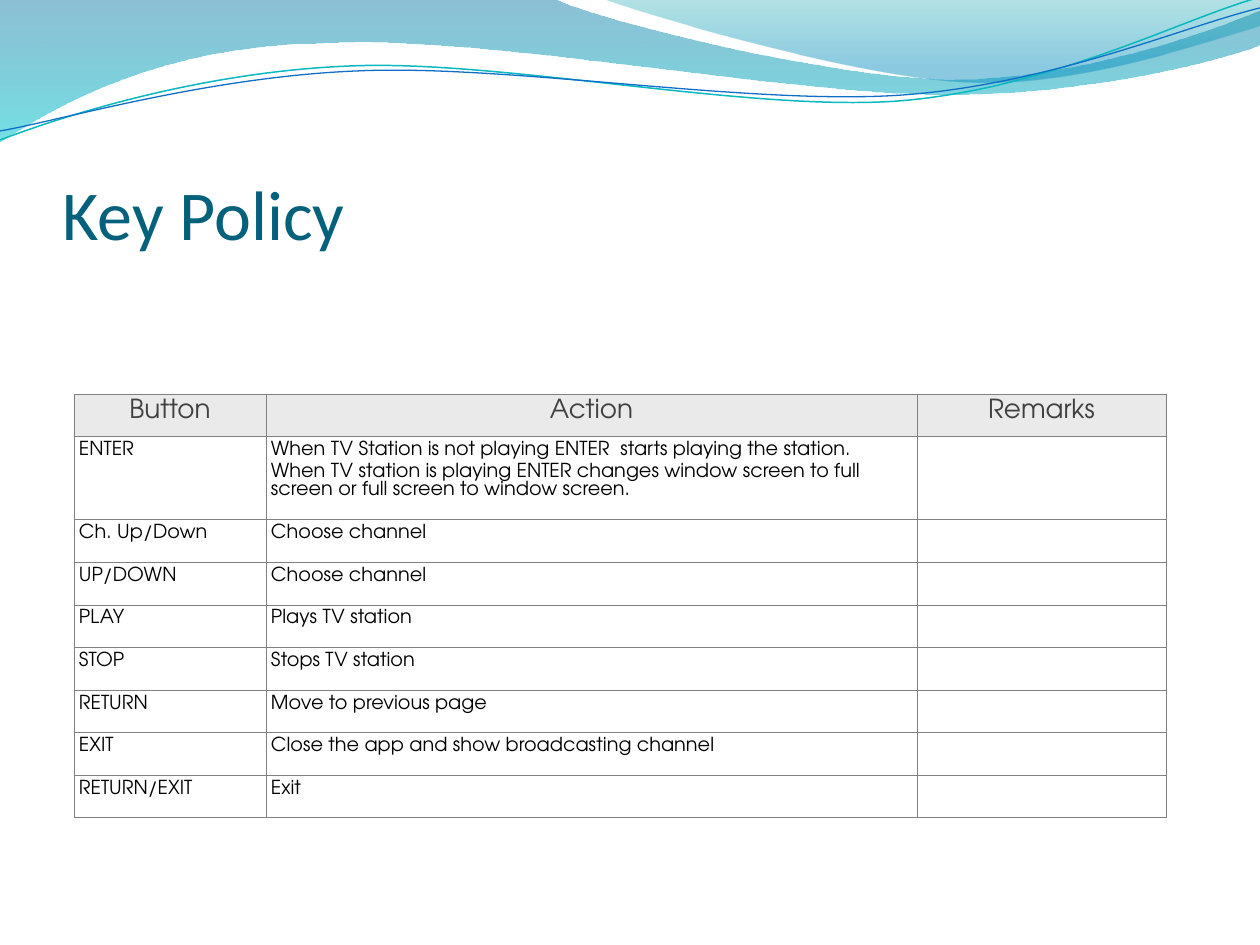
import pptx
import pptx.util
import pptx.dml.color
import pptx.enum.text
import pptx.oxml
import pptx.oxml.ns

# Content
TITLE = "Key Policy"
HEADS = ["Button", "Action", "Remarks"]
KEYS = [
    ("ENTER", "When TV Station is not playing ENTER  starts playing the station.\n"
              "When TV station is playing ENTER changes window screen to full "
              "screen or full screen to window screen."),
    ("Ch. Up/Down", "Choose channel"),
    ("UP/DOWN", "Choose channel"),
    ("PLAY", "Plays TV station"),
    ("STOP", "Stops TV station"),
    ("RETURN", "Move to previous page"),
    ("EXIT", "Close the app and show broadcasting channel"),
    ("RETURN/EXIT", "Exit"),
]

THEME = {
    "title": ("Calibri", 40, "04617B"),
    "head": ("TeX Gyre Adventor", 15, "404040"),
    "body": ("TeX Gyre Adventor", 11, "000000"),
    "headfill": "EAEAEA",
    "bodyfill": "FFFFFF",
    "grid": ("808080", 0.25),
}

# Waves: a path is a list of points (2 numbers) and curves (6 numbers), in px;
# a gradient stop is position, colour, opacity in percent
BANDS = [
    ([(0, 0), (554, -1), (600, 21, 837, 79, 955, 79), (1075, 79, 1207, 33, 1260, 11),
      (1261, 45), (1237, 55, 1096, 96, 940, 94), (784, 94, 481, 35, 324, 43),
      (161, 45, 58, 105, -1, 142)],
     [(0, "0074A1", 45), (100, "00C6CF", 55)]),
    ([(603, -1), (641, 14, 859, 78, 969, 82), (1079, 87, 1211, 40, 1260, 26), (1260, 0)],
     [(0, "00A1A9", 30), (80, "008BBF", 45)]),
]
LINES = [
    ([(0, 140), (60, 117, 199, 72, 349, 66), (498, 59, 747, 112, 898, 101),
      (1050, 89, 1182, 19, 1257, -2)], "0AB8BF", 0.85),
    ([(0, 131), (59, 121, 207, 77, 357, 71), (508, 64, 752, 106, 903, 95),
      (1053, 84, 1185, 26, 1260, 8)], "0F6FC6", 0.75),
]

# Layout in px
SCALE = 914400 / 126
SIZE = (1260, 945)
TITLE_BOX = (63, 97, 1134, 158)
TABLE_BOX = (74, 344, 1092, 490)
COLS = [192, 651, 249]
REST = 298  # shared by all rows after the first key, which grows with its text
STEP = REST / (len(KEYS) - 1)
ROWS = [50, 42] + [STEP] * len(KEYS)
PAD = 5


def emu(px):
    return pptx.util.Emu(round(px * SCALE))


def rgb(code):
    return pptx.dml.color.RGBColor.from_string(code)


def xml(text):
    return pptx.oxml.parse_xml(text.replace(">", " " + pptx.oxml.ns.nsdecls("a") + ">", 1))


def style(par, look):
    face, size, code = THEME[look]
    for run in par.runs:
        run.font.name = face
        run.font.size = pptx.util.Pt(size)
        run.font.color.rgb = rgb(code)


def draw(slide, path, close):
    """Build the outline from end points, then bend the curved parts."""
    ends = [part[-2:] for part in path]
    pen = slide.shapes.build_freeform(*ends[0], scale=SCALE)
    pen.add_line_segments(ends[1:], close=close)
    shape = pen.convert_to_shape()
    left, top = (min(axis) for axis in zip(*ends))
    legs = list(shape._element.iter(pptx.oxml.ns.qn("a:lnTo")))
    for leg, part in zip(legs, path[1:]):
        if len(part) == 6:
            dots = "".join(f'<a:pt x="{x - left}" y="{y - top}"/>'
                           for x, y in zip(part[::2], part[1::2]))
            leg.getparent().replace(leg, xml(f"<a:cubicBezTo>{dots}</a:cubicBezTo>"))
    shape.shadow.inherit = False
    shape.fill.background()
    return shape


def add_waves(slide):
    for path, stops in BANDS:
        shape = draw(slide, path, True)
        shape.line.fill.background()
        marks = "".join(
            f'<a:gs pos="{pos * 1000}"><a:srgbClr val="{code}">'
            f'<a:alpha val="{alpha * 1000}"/></a:srgbClr></a:gs>'
            for pos, code, alpha in stops)
        grad = xml(f'<a:gradFill><a:gsLst>{marks}</a:gsLst>'
                   '<a:lin ang="5400000" scaled="0"/></a:gradFill>')
        props = shape._element.spPr
        props.replace(props.find(pptx.oxml.ns.qn("a:noFill")), grad)
    for path, code, width in LINES:
        shape = draw(slide, path, False)
        shape.line.color.rgb = rgb(code)
        shape.line.width = pptx.util.Pt(width)


def add_title(slide):
    frame = slide.shapes.add_textbox(*map(emu, TITLE_BOX)).text_frame
    frame.word_wrap = True
    frame.vertical_anchor = pptx.enum.text.MSO_ANCHOR.BOTTOM
    frame.margin_left = frame.margin_right = frame.margin_bottom = 0
    frame.text = TITLE
    style(frame.paragraphs[0], "title")


def edge(cell, sides):
    code, width = THEME["grid"]
    props = cell._tc.get_or_add_tcPr()
    for i, side in enumerate(sides):
        props.insert(i, xml(
            f'<a:ln{side} w="{pptx.util.Pt(width)}"><a:solidFill>'
            f'<a:srgbClr val="{code}"/></a:solidFill></a:ln{side}>'))


def fill_cell(cell, text, look):
    cell.margin_left = cell.margin_right = emu(PAD)
    cell.margin_top = cell.margin_bottom = emu(PAD)
    cell.fill.solid()
    cell.fill.fore_color.rgb = rgb(THEME[look + "fill"])
    edge(cell, "LRTB")
    cell.text_frame.text = text
    for par in cell.text_frame.paragraphs:
        if not text:  # keeps an empty cell as low as its row
            size = THEME[look][1] * 100
            par._p.append(xml(f'<a:endParaRPr sz="{size}"></a:endParaRPr>'))
            continue
        par._p.get_or_add_pPr().append(
            xml('<a:spcBef><a:spcPct val="20000"/></a:spcBef>'))
        if look == "head":
            par.alignment = pptx.enum.text.PP_ALIGN.CENTER
        style(par, look)


def add_keys(slide):
    frame = slide.shapes.add_table(len(ROWS), len(COLS), *map(emu, TABLE_BOX))
    table = frame.table
    table.first_row = table.horz_banding = False
    plain = "{2D5ABB26-0587-4C30-8999-92F81FD0307C}"
    table._tbl.tblPr.find(pptx.oxml.ns.qn("a:tableStyleId")).text = plain
    for col, width in zip(table.columns, COLS):
        col.width = emu(width)
    for row, height in zip(table.rows, ROWS):
        row.height = emu(height)
    frame.height = emu(TABLE_BOX[3])
    # Open row on top, then heads, then keys
    for cell in table.rows[0].cells:
        cell.fill.background()
        edge(cell, "B")
    for r, texts in enumerate([HEADS] + [(*key, "") for key in KEYS], 1):
        for c, text in enumerate(texts):
            fill_cell(table.cell(r, c), text, "head" if r == 1 else "body")


def main():
    deck = pptx.Presentation()
    deck.slide_width, deck.slide_height = map(emu, SIZE)
    slide = deck.slides.add_slide(deck.slide_layouts[6])
    add_waves(slide)
    add_title(slide)
    add_keys(slide)
    deck.save("out.pptx")


if __name__ == "__main__":
    main()
